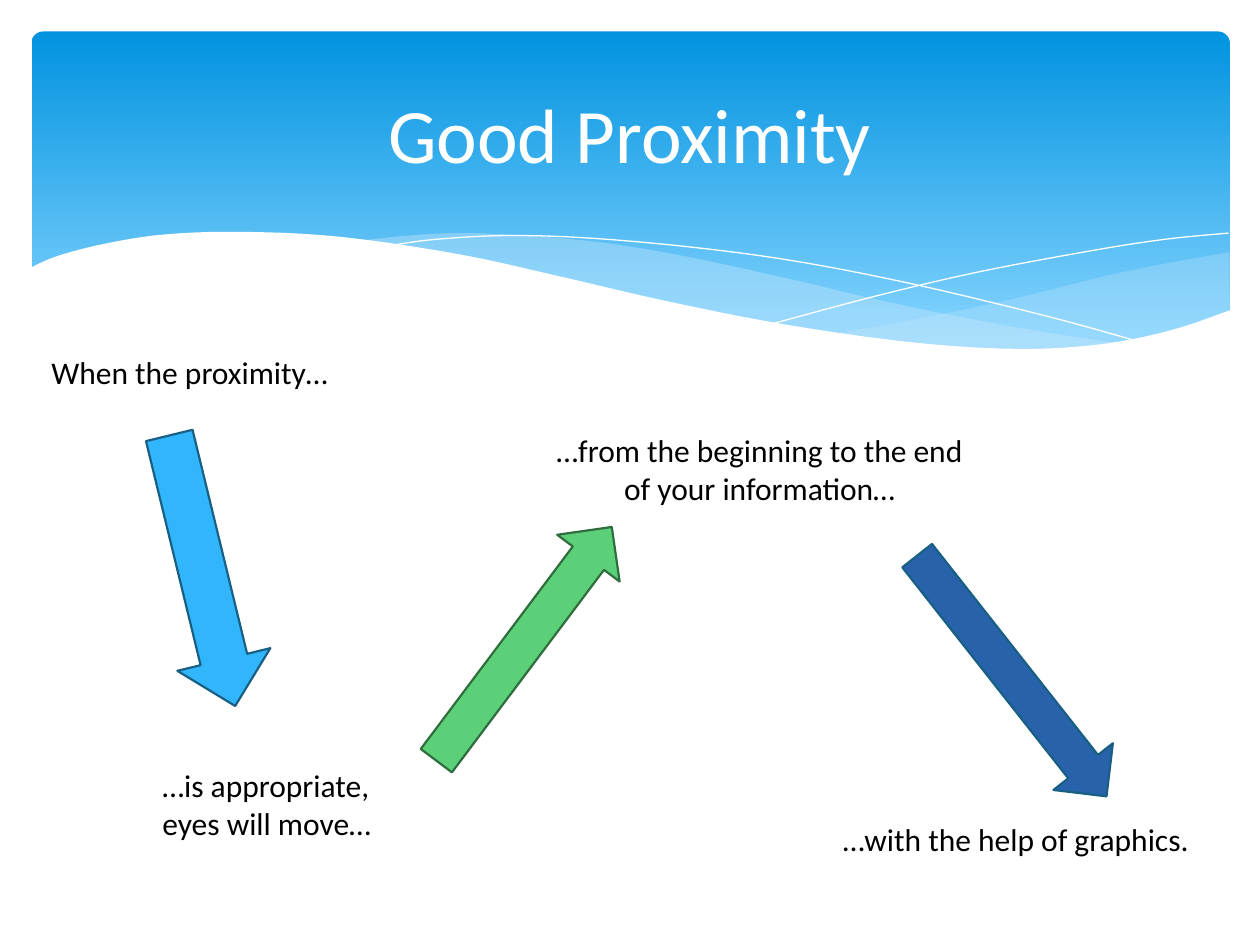
from dataclasses import dataclass

from lxml import etree
from pptx import Presentation
from pptx.dml.color import RGBColor
from pptx.enum.shapes import MSO_SHAPE as Shape
from pptx.enum.text import MSO_ANCHOR as Anchor, MSO_AUTO_SIZE as AutoSize, PP_ALIGN as Align
from pptx.oxml.ns import qn
from pptx.util import Pt


@dataclass(frozen=True)
class Theme:
    font: str = "Calibri"
    title_size: int = 44
    body_size: int = 18
    white: str = "FFFFFF"
    black: str = "000000"
    sky_top: str = "0293E0"
    sky_bottom: str = "83D3FE"
    veil: str = "C6E7FC"
    blue: str = "31B6FD"
    green: str = "5BD078"
    navy: str = "2862AA"
    blue_edge: str = "195F84"
    green_edge: str = "2F6D3F"


THEME = Theme()

# Knots of the wave edges, in points
RIGHT_VEIL_TOP = [(702.7, 144), (641.5, 155.5), (579.6, 170.6), (524.9, 182.2), (475.9, 190.8)]
RIGHT_VEIL_BOTTOM = [(475.9, 190.8), (527, 197.3), (570.2, 199.6), (607.7, 199.5),
                     (640.1, 195.8), (673.2, 188.4), (702.7, 177.8)]
LONG_VEIL_TOP = [(643, 196.6), (581, 187.2), (508.3, 172.8), (452.9, 159.8), (389.5, 146.1),
                 (334.8, 137.5), (273.6, 133.3), (236.2, 134.4), (205.9, 137.5)]
LONG_VEIL_BOTTOM = [(205.9, 137.5), (246.2, 143.3), (290.9, 152), (323.3, 159.8),
                    (381.6, 172.8), (432.7, 183.6), (478.8, 191.5), (529.9, 198),
                    (573.1, 200.1), (610.6, 199.6), (643, 196.6)]
FALLING_LINE = [(222.5, 140.4), (247.7, 136.9), (288.7, 134.6), (337.7, 136.1), (400.3, 141.8),
                (457.9, 149.8), (523.4, 162.7), (598.3, 180.7), (653, 195.8)]
RISING_LINE = [(441.4, 185), (500.4, 169.2), (558.7, 155.5), (623.5, 143.3),
               (665.3, 136.8), (702, 133.2)]
WHITE_WAVE_TOP = [(703.4, 177.1), (669.6, 188.6), (630, 196.6), (582.5, 199.4), (522.7, 195.8),
                  (450.7, 185.8), (380.9, 172.1), (321.8, 158.4), (262.8, 145.4),
                  (195.1, 135.4), (139, 132.5), (95, 133.9), (61.2, 139), (33.1, 146.2),
                  (16.6, 153.4)]
WHITE_WAVE_BASE = [(16.6, 236.9), (703.4, 236.9)]


def rgb(color):
    return RGBColor.from_string(color)


def smooth(knots, steps=5):
    """Return points on a Catmull-Rom curve through the knots."""
    ends = [knots[0], *knots, knots[-1]]
    points = [knots[0]]
    for a, b, c, d in zip(ends, ends[1:], ends[2:], ends[3:]):
        for i in range(1, steps + 1):
            t = i / steps
            points.append(tuple(
                (2 * q + (r - p) * t + (2 * p - 5 * q + 4 * r - u) * t ** 2
                 + (3 * q - p - 3 * r + u) * t ** 3) / 2
                for p, q, r, u in zip(a, b, c, d)))
    return points


def style(sp, fill=None, line=None, width=0, opacity=None):
    sp.shadow.inherit = False
    if fill:
        sp.fill.solid()
        sp.fill.fore_color.rgb = rgb(fill)
    else:
        sp.fill.background()
    if opacity is not None:
        color = sp.fill._xPr.find(f".//{qn('a:srgbClr')}")
        etree.SubElement(color, qn("a:alpha"), val=str(opacity * 1000))
    if line:
        sp.line.color.rgb = rgb(line)
        sp.line.width = Pt(width)
    else:
        sp.line.fill.background()


def add_path(s, points, closed=True, **look):
    start, *rest = [(Pt(x), Pt(y)) for x, y in points]
    builder = s.shapes.build_freeform(*start)
    builder.add_line_segments(rest, close=closed)
    style(builder.convert_to_shape(), **look)


def add_banner(s):
    sp = s.shapes.add_shape(Shape.ROUNDED_RECTANGLE, Pt(18), Pt(18), Pt(684.7), Pt(194.4))
    sp.adjustments[0] = 0.034
    style(sp)
    sp.fill.gradient()
    sp.fill.gradient_angle = 270
    stops = ((0, THEME.sky_top), (0.9, THEME.sky_bottom))
    for stop, (position, color) in zip(sp.fill.gradient_stops, stops):
        stop.position = position
        stop.color.rgb = rgb(color)


def add_waves(s):
    add_path(s, smooth(RIGHT_VEIL_TOP) + smooth(RIGHT_VEIL_BOTTOM), fill=THEME.veil, opacity=29)
    add_path(s, smooth(LONG_VEIL_TOP) + smooth(LONG_VEIL_BOTTOM), fill=THEME.veil, opacity=40)
    for knots in (FALLING_LINE, RISING_LINE):
        add_path(s, smooth(knots), closed=False, line=THEME.white)
    add_path(s, smooth(WHITE_WAVE_TOP) + WHITE_WAVE_BASE, fill=THEME.white)


def write(tf, text, size, color, align):
    p = tf.paragraphs[0]
    p.alignment = align
    r = p.add_run()
    r.text = text
    r.font.name = THEME.font
    r.font.size = Pt(size)
    r.font.color.rgb = rgb(color)


def set_title(s, text):
    """Place the title in front of everything drawn so far."""
    sp = s.shapes.title
    sp.left, sp.top, sp.width, sp.height = Pt(36), Pt(26.6), Pt(648), Pt(98.6)
    sp.element.getparent().append(sp.element)
    sp.text_frame.vertical_anchor = Anchor.MIDDLE
    write(sp.text_frame, text, THEME.title_size, THEME.white, Align.CENTER)


def add_text(s, text, left, top, width, height, wrap=True, align=Align.LEFT):
    tf = s.shapes.add_textbox(Pt(left), Pt(top), Pt(width), Pt(height)).text_frame
    tf.word_wrap = wrap
    tf.auto_size = AutoSize.SHAPE_TO_FIT_TEXT
    write(tf, text, THEME.body_size, THEME.black, align)


def add_arrow(s, kind, left, top, width, height, angle, fill, edge):
    sp = s.shapes.add_shape(kind, Pt(left), Pt(top), Pt(width), Pt(height))
    sp.rotation = angle
    style(sp, fill=fill, line=edge, width=1.25)


def main():
    prs = Presentation()
    prs.slide_width, prs.slide_height = Pt(720), Pt(540)
    s = prs.slides.add_slide(prs.slide_layouts[5])

    add_banner(s)
    add_waves(s)
    set_title(s, "Good Proximity")

    add_text(s, "…from the beginning to the end of your information…",
             307.4, 242.6, 253.4, 51, align=Align.CENTER)
    add_text(s, "When the proximity…", 22.3, 198, 185, 29, wrap=False)
    add_text(s, "…is appropriate, eyes will move…", 85.7, 434.2, 152.6, 51)
    add_text(s, "…with the help of graphics.", 474.5, 465.1, 231, 29, wrap=False)

    add_arrow(s, Shape.RIGHT_ARROW, 36, 298.8, 159.1, 54.7, 76.3, THEME.blue, THEME.blue_edge)
    add_arrow(s, Shape.UP_ARROW, 277.2, 284.4, 44.6, 167, 36.9, THEME.green, THEME.green_edge)
    add_arrow(s, Shape.DOWN_ARROW, 556.6, 298.8, 43.2, 175, 321.8, THEME.navy, THEME.blue_edge)

    prs.save("out.pptx")


if __name__ == "__main__":
    main()
